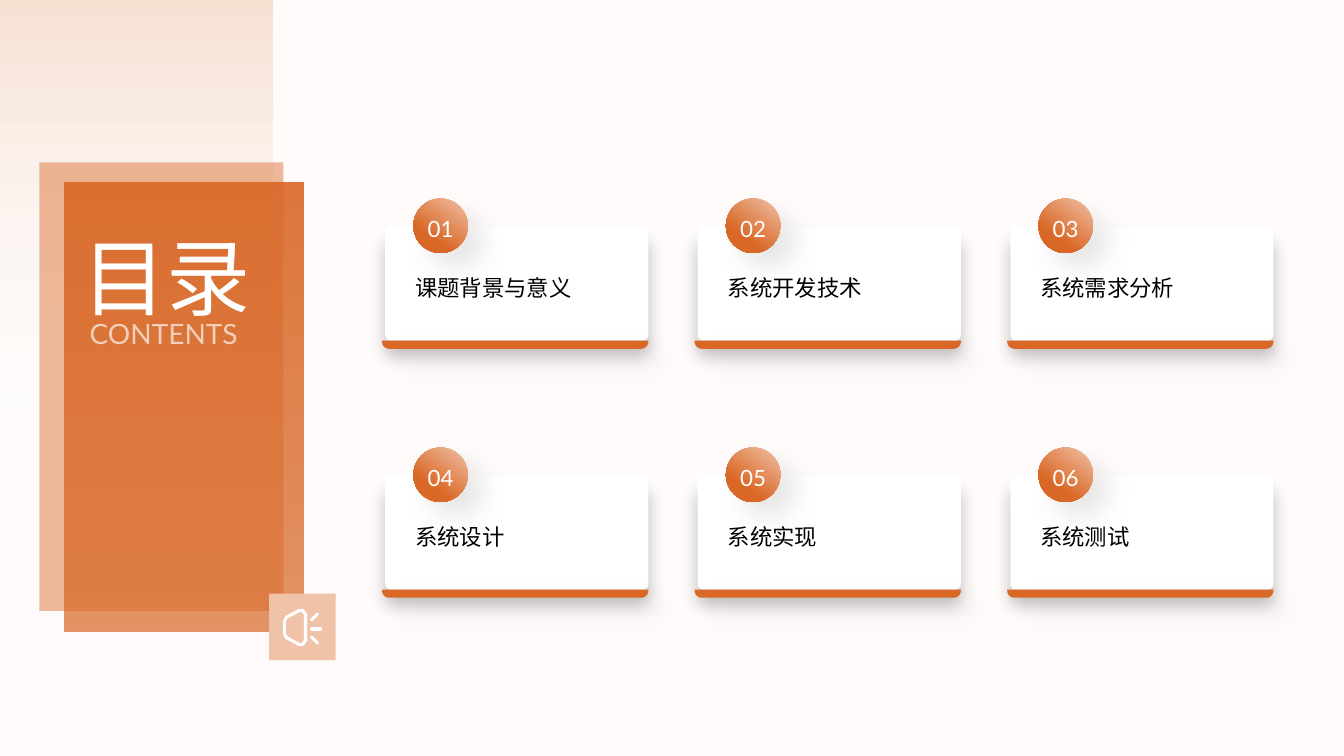
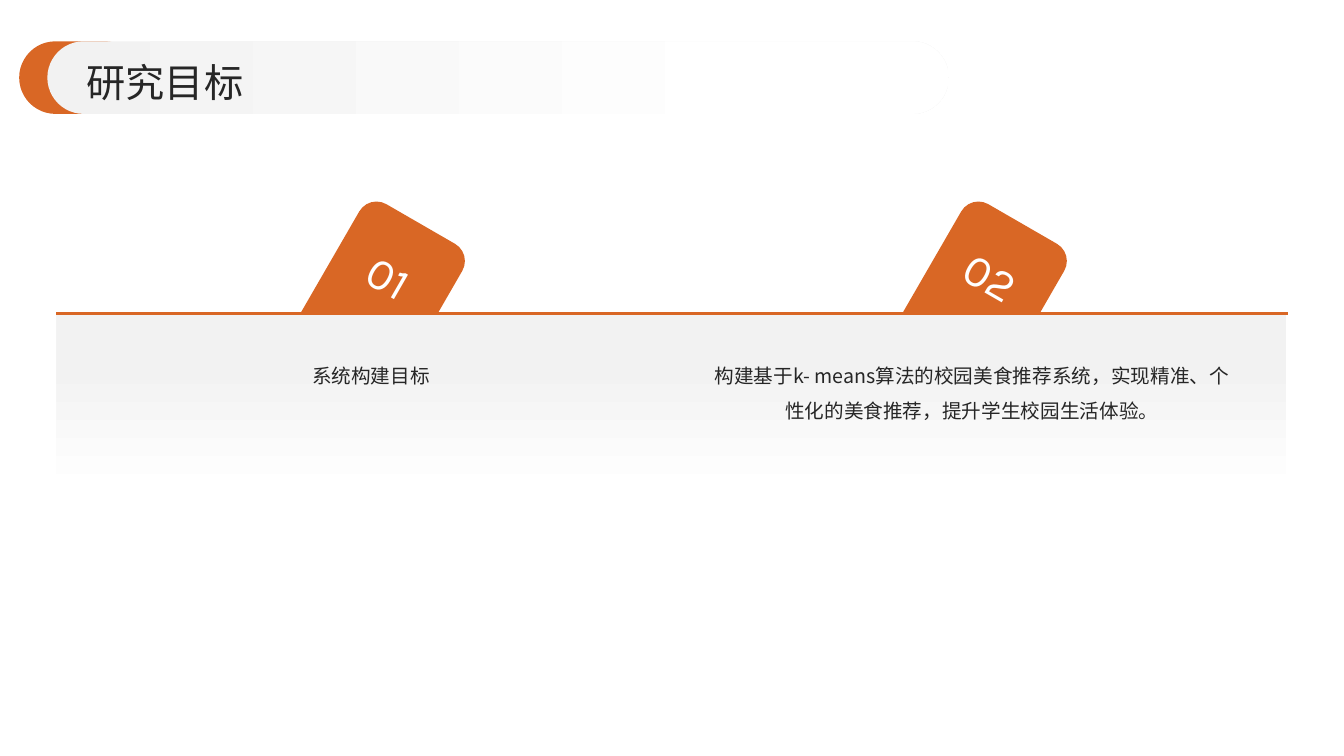
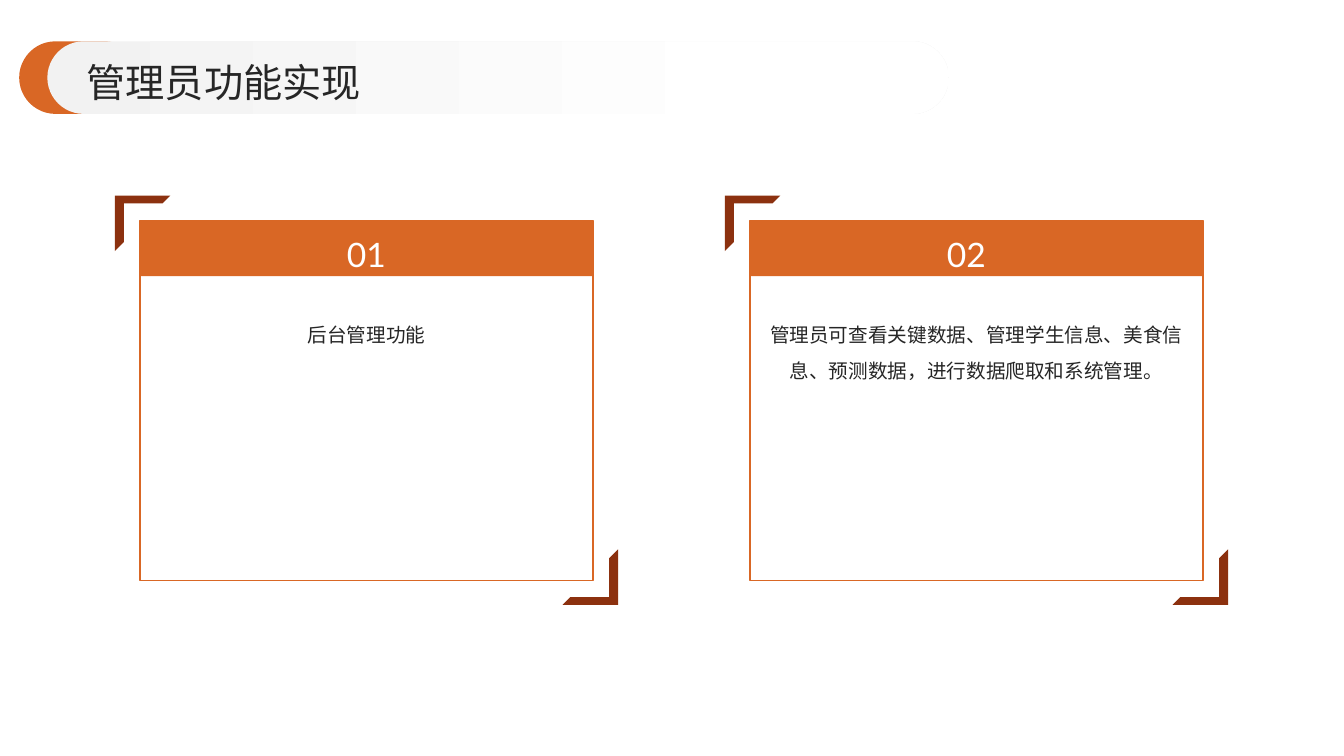
from math import cos, pi, sin

from lxml.etree import SubElement
from pptx import Presentation
from pptx.dml.color import RGBColor
from pptx.enum.shapes import MSO_CONNECTOR, MSO_SHAPE
from pptx.enum.text import MSO_ANCHOR, MSO_AUTO_SIZE, PP_ALIGN
from pptx.oxml.ns import qn
from pptx.util import Inches, Pt

COLORS = {
    "orange": "D96725",
    "peach": "F0C2A8",
    "cream": "F8E1D3",
    "rust": "8C310F",
    "gray": "F2F2F2",
    "ink": "262626",
    "white": "FFFFFF",
    "black": "000000",
}
CHINESE_FONT = "Noto Sans CJK SC"
CARD_SHADOW = {"alpha": 24, "blur": 12, "distance": 11, "angle": 90}
SOFT_SHADOW = {"alpha": 10, "blur": 20, "distance": 15, "angle": 45}


def rgb(name):
    return RGBColor.from_string(COLORS[name])


def set_alpha(element, percentages):
    for color, percentage in zip(element.iter(qn("a:srgbClr")), percentages):
        SubElement(color, qn("a:alpha")).set("val", str(percentage * 1000))


class Deck:
    def __init__(self):
        self.presentation = Presentation()
        self.presentation.slide_width = Inches(13.33)
        self.presentation.slide_height = Inches(7.5)
        self.slide = None

    def add_slide(self):
        layout = self.presentation.slide_layouts[5]
        self.slide = self.presentation.slides.add_slide(layout)

    def style(self, shape, fill, alpha=None, line=None, shadow=None):
        shape.shadow.inherit = False
        if fill:
            shape.fill.solid()
            shape.fill.fore_color.rgb = rgb(fill)
        else:
            shape.fill.background()
        if alpha is not None:
            set_alpha(shape.element.spPr, [alpha])
        if line:
            self.stroke(shape, *line)
        else:
            shape.line.fill.background()
        if shadow:
            self.cast_shadow(shape, **shadow)

    def stroke(self, shape, color, width):
        shape.line.color.rgb = rgb(color)
        shape.line.width = Pt(width)

    def cast_shadow(self, shape, alpha, blur, distance, angle):
        effects = shape.element.spPr.find(qn("a:effectLst"))
        outer = SubElement(effects, qn("a:outerShdw"))
        values = {
            "blurRad": Pt(blur),
            "dist": Pt(distance),
            "dir": angle * 60000,
            "algn": "ctr",
            "rotWithShape": 0,
        }
        for name, value in values.items():
            outer.set(name, str(value))
        SubElement(outer, qn("a:srgbClr")).set("val", COLORS["black"])
        set_alpha(outer, [alpha])

    def shape(self, kind, left, top, width, height, fill="orange", adjustments=(),
              rotation=0, **style):
        shape = self.slide.shapes.add_shape(
            kind, Inches(left), Inches(top), Inches(width), Inches(height))
        for index, adjustment in enumerate(adjustments):
            shape.adjustments[index] = adjustment
        shape.rotation = rotation
        self.style(shape, fill, **style)
        return shape

    def gradient(self, shape, stops, clockwise, alphas=()):
        shape.fill.gradient()
        shape.fill.gradient_angle = (360 - clockwise) % 360
        for stop, (position, color) in zip(shape.fill.gradient_stops, stops):
            stop.color.rgb = rgb(color)
            stop.position = position / 100
        set_alpha(shape.element.spPr.find(qn("a:gradFill")), alphas)

    def outline(self, points, fill, **style):
        corners = [(Inches(x), Inches(y)) for x, y in points]
        builder = self.slide.shapes.build_freeform(*corners[0])
        builder.add_line_segments(corners[1:], close=True)
        shape = builder.convert_to_shape()
        self.style(shape, fill, **style)
        return shape

    def line(self, start, end, color, width):
        connector = self.slide.shapes.add_connector(
            MSO_CONNECTOR.STRAIGHT, *[Inches(value) for value in start + end])
        self.stroke(connector, color, width)
        SubElement(connector.element.spPr, qn("a:effectLst"))
        return connector

    def set_text(self, shape, words, size, font, color="white", align=PP_ALIGN.LEFT,
                 anchor=MSO_ANCHOR.TOP, spacing=None, inset=True, alpha=None):
        frame = shape.text_frame
        margins = (0.1, 0.05) if inset else (0, 0)
        frame_format = {
            "word_wrap": True,
            "auto_size": MSO_AUTO_SIZE.NONE,
            "vertical_anchor": anchor,
            "margin_left": Inches(margins[0]),
            "margin_right": Inches(margins[0]),
            "margin_top": Inches(margins[1]),
            "margin_bottom": Inches(margins[1]),
        }
        for name, value in frame_format.items():
            setattr(frame, name, value)
        paragraph = frame.paragraphs[0]
        paragraph.alignment = align
        if spacing:
            paragraph.line_spacing = spacing
        run = paragraph.add_run()
        run.text = words
        for name, value in {"size": Pt(size), "name": font}.items():
            setattr(run.font, name, value)
        run.font.color.rgb = rgb(color)
        for properties in shape.element.iter(qn("a:rPr")):
            SubElement(properties, qn("a:ea")).set("typeface", CHINESE_FONT)
            if alpha is not None:
                set_alpha(properties, [alpha])

    def text(self, left, top, width, height, words, size, font, rotation=0, **text_format):
        box = self.slide.shapes.add_textbox(
            Inches(left), Inches(top), Inches(width), Inches(height))
        box.rotation = rotation
        self.set_text(box, words, size, font, **text_format)

    def title(self, left, top, width, height, words, size, font, **text_format):
        title = self.slide.shapes.title
        bounds = {"left": left, "top": top, "width": width, "height": height}
        for name, value in bounds.items():
            setattr(title, name, Inches(value))
        title.element.getparent().append(title.element)
        self.set_text(title, words, size, font, **text_format)

    def title_band(self, words):
        self.shape(MSO_SHAPE.ROUNDED_RECTANGLE, 0.19, 0.41, 1.21, 0.72, adjustments=[0.5])
        band = self.shape(MSO_SHAPE.ROUNDED_RECTANGLE, 0.47, 0.41, 8.94, 0.72, "gray", [0.5])
        self.gradient(band, [(0, "gray"), (80, "white")], 0)
        self.title(0.86, 0.53, 11.67, 0.51, words, 28, CHINESE_FONT, color="ink",
                   anchor=MSO_ANCHOR.MIDDLE, spacing=1.1, inset=False)

    def body(self, left, top, width, height, words):
        self.text(left, top, width, height, words, 14, CHINESE_FONT, color="ink",
                  align=PP_ALIGN.CENTER, spacing=1.5, inset=False)

    def contents_card(self, left, top, number, words):
        self.shape(MSO_SHAPE.ROUNDED_RECTANGLE, left, top, 2.61, 1.13, "white", [0.05],
                   shadow=CARD_SHADOW)
        self.text(left + 0.2, top + 0.37, 2.2, 0.7, words, 16, "Karla", color="black",
                  spacing=1.2)
        badge = self.shape(MSO_SHAPE.OVAL, left + 0.28, top - 0.28, 0.54, 0.54,
                           shadow=SOFT_SHADOW)
        self.gradient(badge, [(0, "peach"), (71, "orange")], 126)
        self.set_text(badge, number, 16, "Lato", align=PP_ALIGN.CENTER,
                      anchor=MSO_ANCHOR.MIDDLE, spacing=1.2, inset=False)
        self.card_base(left - 0.03, top + 1.13, 2.64, 0.08)

    def card_base(self, left, top, width, height):
        radius = 0.07
        right, center = left + width, top + height - radius
        angles = [step * pi / 12 for step in range(7)]
        right_corner = [(right - radius + radius * cos(angle), center + radius * sin(angle))
                        for angle in angles]
        left_corner = [(left + radius - radius * sin(angle), center + radius * cos(angle))
                       for angle in angles]
        self.outline([(left, top), (right, top)] + right_corner + left_corner, "orange",
                     shadow=SOFT_SHADOW)

    def speaker_icon(self):
        self.shape(MSO_SHAPE.RECTANGLE, 2.67, 5.89, 0.66, 0.66, "peach")
        middle = 6.225
        upper = [(2.82, 0.06), (2.84, 0.1), (2.97, 0.17), (3, 0.17), (3.03, 0.13)]
        points = [(x, middle - rise) for x, rise in upper]
        points += [(x, middle + rise) for x, rise in reversed(upper)]
        self.outline(points, None, line=("white", 2.2))
        for start, end in [((3.09, 6.15), (3.15, 6.09)),
                           ((3.09, 6.24), (3.18, 6.24)),
                           ((3.09, 6.32), (3.15, 6.38))]:
            ray = self.line(start, end, "white", 2.2)
            ray.element.spPr.find(qn("a:ln")).set("cap", "rnd")

    def goal_tab(self, left, number):
        self.shape(MSO_SHAPE.ROUNDED_RECTANGLE, left, 2.08, 1.18, 2.13, rotation=30)
        self.text(left + 0.46, 2.43, 0.79, 0.47, number, 32, "Karla", rotation=30,
                  align=PP_ALIGN.CENTER, spacing=1.1, inset=False)

    def framed_card(self, left, number_left, number, words):
        top = 2.19
        for x, y, rotation in [(left - 0.25, top - 0.25, 0), (left + 4.19, top + 3.26, 180)]:
            self.shape(MSO_SHAPE.HALF_FRAME, x, y, 0.55, 0.55, "rust", [0.14, 0.16], rotation)
        self.shape(MSO_SHAPE.RECTANGLE, left, top, 4.49, 3.57, "white", line=("orange", 1))
        self.shape(MSO_SHAPE.RECTANGLE, left, top, 4.49, 0.55)
        self.body(left + 0.18, top + 0.9, 4.13, 2.29, words)
        self.text(number_left, 2.18, 4.13, 0.49, number, 24, "Lato", align=PP_ALIGN.CENTER,
                  anchor=MSO_ANCHOR.MIDDLE, spacing=1.5, inset=False)


def contents_slide(deck):
    deck.add_slide()
    deck.shape(MSO_SHAPE.RECTANGLE, 0, 0, 13.33, 7.5, "cream", alpha=10)
    topics = ["课题背景与意义", "系统开发技术", "系统需求分析", "系统设计", "系统实现", "系统测试"]
    for index, topic in enumerate(topics):
        row, column = divmod(index, 3)
        deck.contents_card(3.82 + 3.1 * column, 2.25 + 2.47 * row, f"{index + 1:02d}", topic)
    glow = deck.shape(MSO_SHAPE.RECTANGLE, 0, 0, 2.7, 4.5)
    deck.gradient(glow, [(0, "cream"), (100, "white")], 90, [100, 0])
    panel = deck.shape(MSO_SHAPE.RECTANGLE, 0.64, 1.81, 2.37, 4.46)
    deck.gradient(panel, [(0, "orange"), (100, "orange")], 90, [90, 70])
    deck.shape(MSO_SHAPE.RECTANGLE, 0.39, 1.61, 2.42, 4.45, alpha=45)
    deck.speaker_icon()
    deck.title(0.72, 2.19, 2.17, 0.93, "目录", 60, "Karla")
    deck.text(0.79, 3.09, 1.69, 0.38, "CONTENTS", 20, "Lato", alpha=65)


def goals_slide(deck):
    deck.add_slide()
    goals = ["系统构建目标",
             "构建基于k- means算法的校园美食推荐系统，实现精准、个性化的美食推荐，提升学生校园生活体验。"]
    for index in range(len(goals)):
        deck.goal_tab(3.05 + 5.97 * index, f"{index + 1:02d}")
    panel = deck.shape(MSO_SHAPE.RECTANGLE, 0.56, 3.11, 12.2, 2.76)
    deck.gradient(panel, [(36, "white"), (81, "gray")], 270)
    deck.line((0.56, 3.11), (12.77, 3.11), "orange", 1.5)
    for index, goal in enumerate(goals):
        deck.body(1.12 + 5.96 * index, 3.49, 5.12, 2.11, goal)
    deck.title_band("研究目标")


def administrator_slide(deck):
    deck.add_slide()
    functions = ["后台管理功能",
                 "管理员可查看关键数据、管理学生信息、美食信息、预测数据，进行数据爬取和系统管理。"]
    for index, words in enumerate(functions):
        deck.framed_card(1.39 + 6.05 * index, 1.57 + 5.95 * index, f"{index + 1:02d}", words)
    deck.title_band("管理员功能实现")


def main():
    deck = Deck()
    contents_slide(deck)
    goals_slide(deck)
    administrator_slide(deck)
    deck.presentation.save("out.pptx")


if __name__ == "__main__":
    main()
